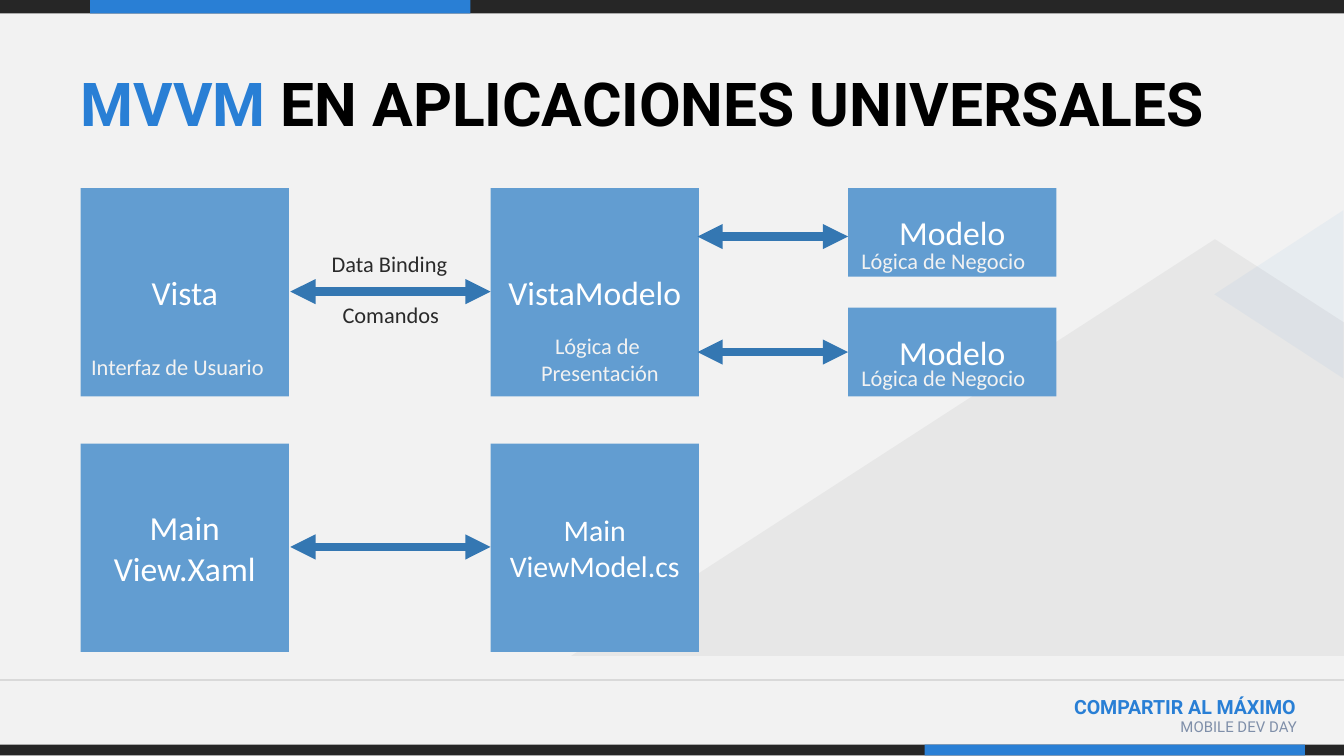
from dataclasses import dataclass

from pptx import Presentation
from pptx.dml.color import RGBColor as Rgb
from pptx.enum.shapes import MSO_CONNECTOR as Link, MSO_SHAPE as Form
from pptx.enum.text import MSO_ANCHOR as Anchor, MSO_AUTO_SIZE as Fit, PP_ALIGN as Align
from pptx.oxml.ns import qn
from pptx.oxml.xmlchemy import OxmlElement as Node
from pptx.util import Inches, Pt


@dataclass(frozen=True)
class Theme:
    back: str = "F2F2F2"
    dark: str = "262626"
    blue: str = "297FD5"
    box: str = "629DD1"
    arrow: str = "3477B2"
    rule: str = "D9D9D9"
    slate: str = "7F8FA9"
    ink: str = "2A2A2A"
    white: str = "FFFFFF"
    black: str = "000000"
    body: str = "Calibri"
    head: str = "Roboto"
    title: float = 32.4
    large: float = 18
    medium: float = 16
    small: float = 12
    brand: float = 10.5
    tiny: float = 8


def write(frame, text, *, size, color, font, bold=False, align=Align.LEFT, lead="", tint=None):
    for row, line in enumerate(text.split("\n")):
        para = frame.paragraphs[0] if row == 0 else frame.add_paragraph()
        para.alignment = align
        parts = [(lead, tint), (line, color)] if lead and row == 0 else [(line, color)]
        for words, shade in parts:
            run = para.add_run()
            run.text = words
            run.font.size = Pt(size)
            run.font.name = font
            run.font.bold = bold
            run.font.color.rgb = Rgb.from_string(shade)


class Deck:
    def __init__(self, theme):
        self.theme = theme
        self.show = Presentation()
        self.show.slide_width = Inches(10)
        self.show.slide_height = Inches(10 * 9 / 16)
        self.slide = self.show.slides.add_slide(self.show.slide_layouts[5])
        self.shapes = self.slide.shapes
        self.fill(self.slide.background, theme.back)

    def fill(self, item, color):
        item.fill.solid()
        item.fill.fore_color.rgb = Rgb.from_string(color)

    def paint(self, shape, color, alpha=None):
        self.fill(shape, color)
        shape.line.fill.background()
        shape.shadow.inherit = False
        if alpha is not None:
            node = Node("a:alpha")
            node.set("val", str(alpha * 1000))
            shape._element.spPr.find(qn("a:solidFill"))[0].append(node)

    def block(self, x, y, w, h, color, form=Form.RECTANGLE, turn=0, alpha=None):
        shape = self.shapes.add_shape(form, Inches(x), Inches(y), Inches(w), Inches(h))
        shape.rotation = turn
        self.paint(shape, color, alpha)
        return shape

    def peak(self, points, color, alpha):
        start, *rest = [(Inches(x), Inches(y)) for x, y in points]
        build = self.shapes.build_freeform(*start)
        build.add_line_segments(rest, close=True)
        self.paint(build.convert_to_shape(), color, alpha)

    def line(self, start, end, color, width, heads=False):
        ends = [Inches(n) for n in (*start, *end)]
        link = self.shapes.add_connector(Link.STRAIGHT, *ends)
        link.line.color.rgb = Rgb.from_string(color)
        link.line.width = Pt(width)
        link._element.spPr.append(Node("a:effectLst"))
        if heads:
            for tag in ("a:headEnd", "a:tailEnd"):
                node = Node(tag)
                node.set("type", "triangle")
                link.line._get_or_add_ln().append(node)

    def arrow(self, left, right, y):
        self.line((right, y), (left, y), self.theme.arrow, 4.5, heads=True)

    def card(self, x, y, w, h, text, size):
        frame = self.block(x, y, w, h, self.theme.box).text_frame
        frame.word_wrap = True
        frame.vertical_anchor = Anchor.MIDDLE
        frame.margin_left = frame.margin_right = Inches(0.04)
        frame.margin_top = frame.margin_bottom = Inches(0.04)
        write(frame, text, size=size, color=self.theme.white, font=self.theme.body,
              align=Align.CENTER)

    def label(self, x, y, w, h, text, wrap=False, **style):
        frame = self.shapes.add_textbox(Inches(x), Inches(y), Inches(w), Inches(h)).text_frame
        frame.word_wrap = wrap
        frame.auto_size = Fit.NONE if wrap else Fit.SHAPE_TO_FIT_TEXT
        write(frame, text, **style)

    def title(self, lead, text):
        shape = self.shapes.title
        shape.left, shape.top = Inches(0.5), Inches(0.44)
        shape.width, shape.height = Inches(9), Inches(0.53)
        frame = shape.text_frame
        frame.word_wrap = True
        frame.auto_size = Fit.NONE
        frame.vertical_anchor = Anchor.TOP
        frame.margin_top, frame.margin_bottom = Inches(0.05), 0
        write(frame, text, size=self.theme.title, color=self.theme.black,
              font=self.theme.head, bold=True, lead=lead, tint=self.theme.blue)


def main():
    theme = Theme()
    deck = Deck(theme)

    for y, h, x in ((0, 0.1, 0.67), (5.54, 0.08, 6.88)):
        deck.block(0, y, 10, h, theme.dark)
        deck.block(x, y, 2.83, h, theme.blue)
    deck.label(6.75, 5.12, 2.99, 0.4, "COMPARTIR AL MÁXIMO", wrap=True, size=theme.brand,
               color=theme.blue, font=theme.head, bold=True, align=Align.RIGHT)
    deck.label(7.94, 5.29, 1.81, 0.31, "MOBILE DEV DAY", wrap=True, size=theme.tiny,
               color=theme.slate, font=theme.head, align=Align.RIGHT)
    deck.line((0, 5.06), (10, 5.06), theme.rule, 0.75)
    deck.peak([(10, 4.88), (10, 2.4), (9.04, 1.78), (4.25, 4.88)], theme.dark, 5)
    deck.block(8.89, 1.71, 1.25, 0.96, theme.blue, Form.ISOSCELES_TRIANGLE, 270, 5)
    deck.title("MVVM", " EN APLICACIONES UNIVERSALES")

    side, low = 1.55, 0.66
    view, logic, model = 0.6, 3.65, 6.31
    top, base = 1.4, 3.3
    for x, y, h, text, size in (
        (view, top, side, "Vista", theme.large),
        (logic, top, side, "VistaModelo", theme.large),
        (model, top, low, "Modelo", theme.large),
        (model, top + side - low, low, "Modelo", theme.large),
        (view, base, side, "Main\nView.Xaml", theme.large),
        (logic, base, side, "Main\nViewModel.cs", theme.medium),
    ):
        deck.card(x, y, side, h, text, size)

    for y in (2.17, 4.07):
        deck.arrow(2.16, logic, y)
    for y in (1.76, 2.62):
        deck.arrow(5.19, model, y)

    for x, y, w, h, text, color, align in (
        (2.37, 1.81, 1.17, 0.3, "Data Binding", theme.ink, Align.LEFT),
        (2.45, 2.19, 0.99, 0.3, "Comandos", theme.ink, Align.LEFT),
        (0.58, 2.58, 1.63, 0.3, "Interfaz de Usuario", theme.back, Align.LEFT),
        (model, 2.66, 1.58, 0.3, "Lógica de Negocio", theme.back, Align.LEFT),
        (model, 1.79, 1.58, 0.3, "Lógica de Negocio", theme.back, Align.LEFT),
        (3.88, 2.42, 1.17, 0.5, "Lógica de \nPresentación", theme.back, Align.CENTER),
    ):
        deck.label(x, y, w, h, text, size=theme.small, color=color, font=theme.body, align=align)

    deck.show.save("out.pptx")


if __name__ == "__main__":
    main()
